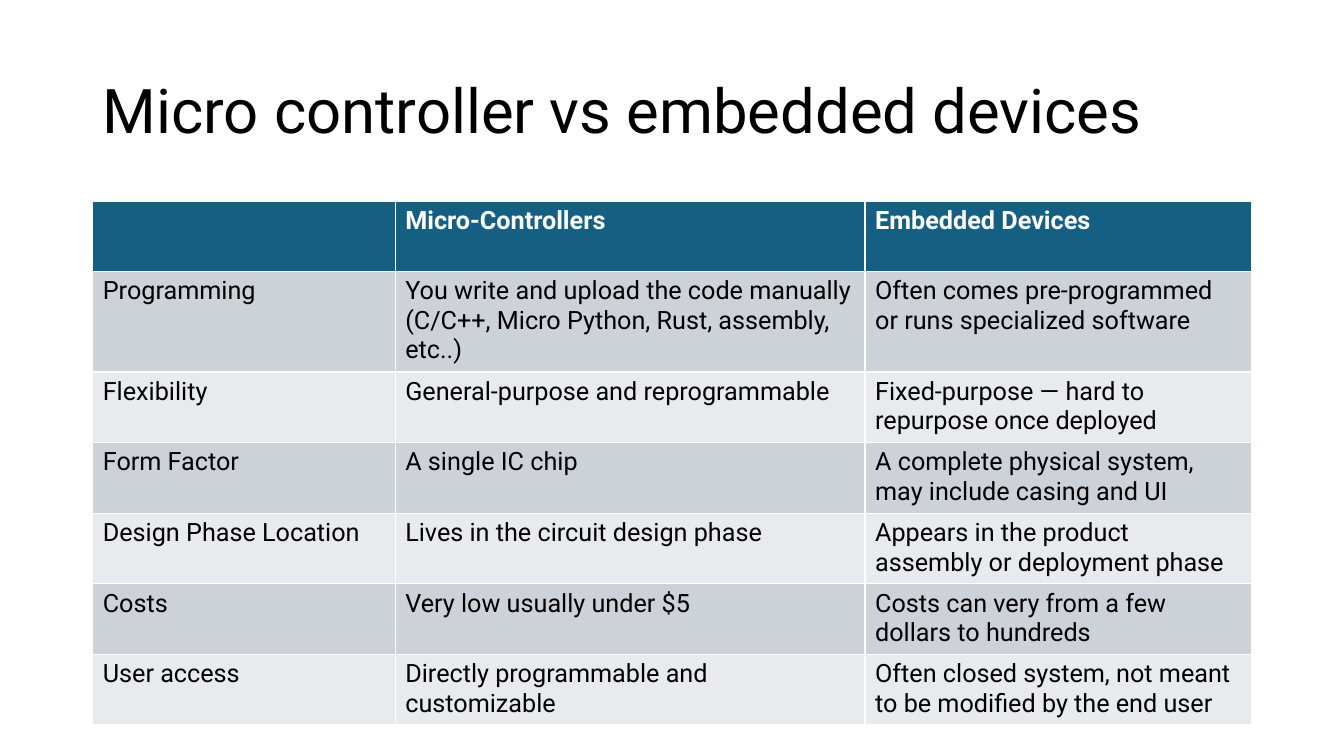
import pptx
import pptx.dml.color
import pptx.enum.text
import pptx.util
from dataclasses import dataclass
from pptx.util import Inches, Pt


@dataclass(frozen=True)
class Theme:
    font: str = "Roboto"
    title_size: int = 44
    table_size: int = 18
    ink: str = "000000"
    paper: str = "FFFFFF"
    header: str = "156082"
    bands: tuple = ("CCD2D8", "E8EAED")


theme = Theme()


def style_font(font, size, color, bold=False):
    font.name = theme.font
    font.size = Pt(size)
    font.bold = bold
    font.color.rgb = pptx.dml.color.RGBColor.from_string(color)


deck = pptx.Presentation()
deck.slide_width = Inches(13.33)
deck.slide_height = Inches(7.5)
page = deck.slides.add_slide(deck.slide_layouts[6])

# Title
title_box = page.shapes.add_textbox(Inches(0.92), Inches(0.4), Inches(11.5), Inches(1.45))
title_frame = title_box.text_frame
title_frame.word_wrap = True
title_frame.vertical_anchor = pptx.enum.text.MSO_ANCHOR.MIDDLE
title_para = title_frame.paragraphs[0]
title_para.text = "Micro controller vs embedded devices"
title_para.line_spacing = 0.9
style_font(title_para.font, theme.title_size, theme.ink)

# Comparison table; its default style draws the white rules
comparison = [
    ("", "Micro-Controllers", "Embedded Devices"),
    ("Programming",
     "You write and upload the code manually (C/C++, Micro Python, Rust, assembly, etc..)",
     "Often comes pre-programmed or runs specialized software"),
    ("Flexibility",
     "General-purpose and reprogrammable",
     "Fixed-purpose — hard to repurpose once deployed"),
    ("Form Factor",
     "A single IC chip",
     "A complete physical system, may include casing and UI"),
    ("Design Phase Location",
     "Lives in the circuit design phase",
     "Appears in the product assembly or deployment phase"),
    ("Costs",
     "Very low usually under $5",
     "Costs can very from a few dollars to hundreds"),
    ("User access",
     "Directly programmable and customizable",
     "Often closed system, not meant to be modified by the end user"),
]
column_widths = (3, 4.66, 3.83)
row_height = 0.69

table = page.shapes.add_table(
    len(comparison), len(column_widths),
    Inches(0.92), Inches(2),
    Inches(sum(column_widths)), Inches(row_height * len(comparison))).table
for column, width in zip(table.columns, column_widths):
    column.width = Inches(width)

for row_index, texts in enumerate(comparison):
    table.rows[row_index].height = Inches(row_height)
    is_header = row_index == 0
    fill_color = theme.header if is_header else theme.bands[(row_index - 1) % 2]
    text_color = theme.paper if is_header else theme.ink
    for column_index, text in enumerate(texts):
        cell = table.cell(row_index, column_index)
        cell.fill.solid()
        cell.fill.fore_color.rgb = pptx.dml.color.RGBColor.from_string(fill_color)
        if text:
            para = cell.text_frame.paragraphs[0]
            para.text = text
            style_font(para.font, theme.table_size, text_color, bold=is_header)

deck.save("out.pptx")
